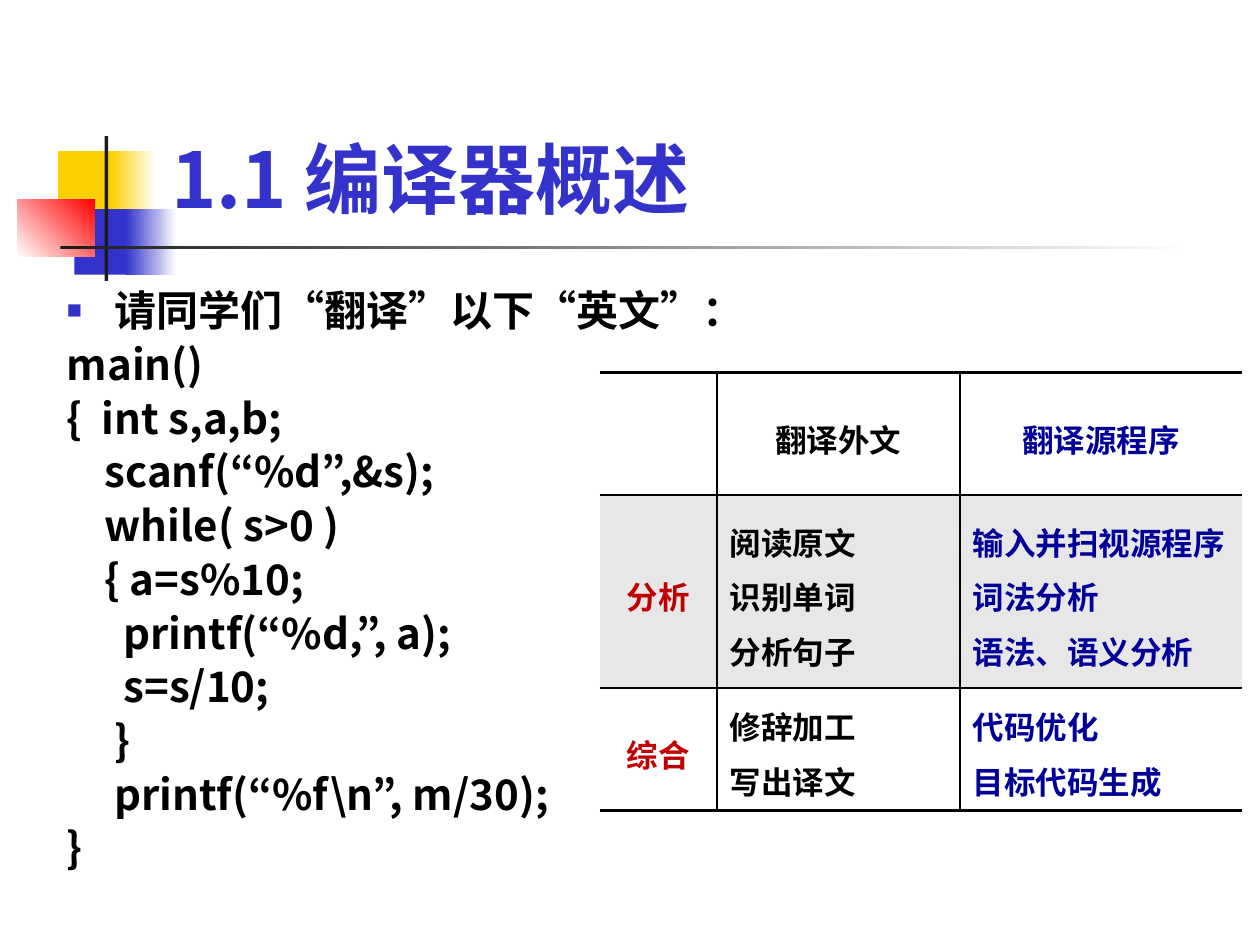
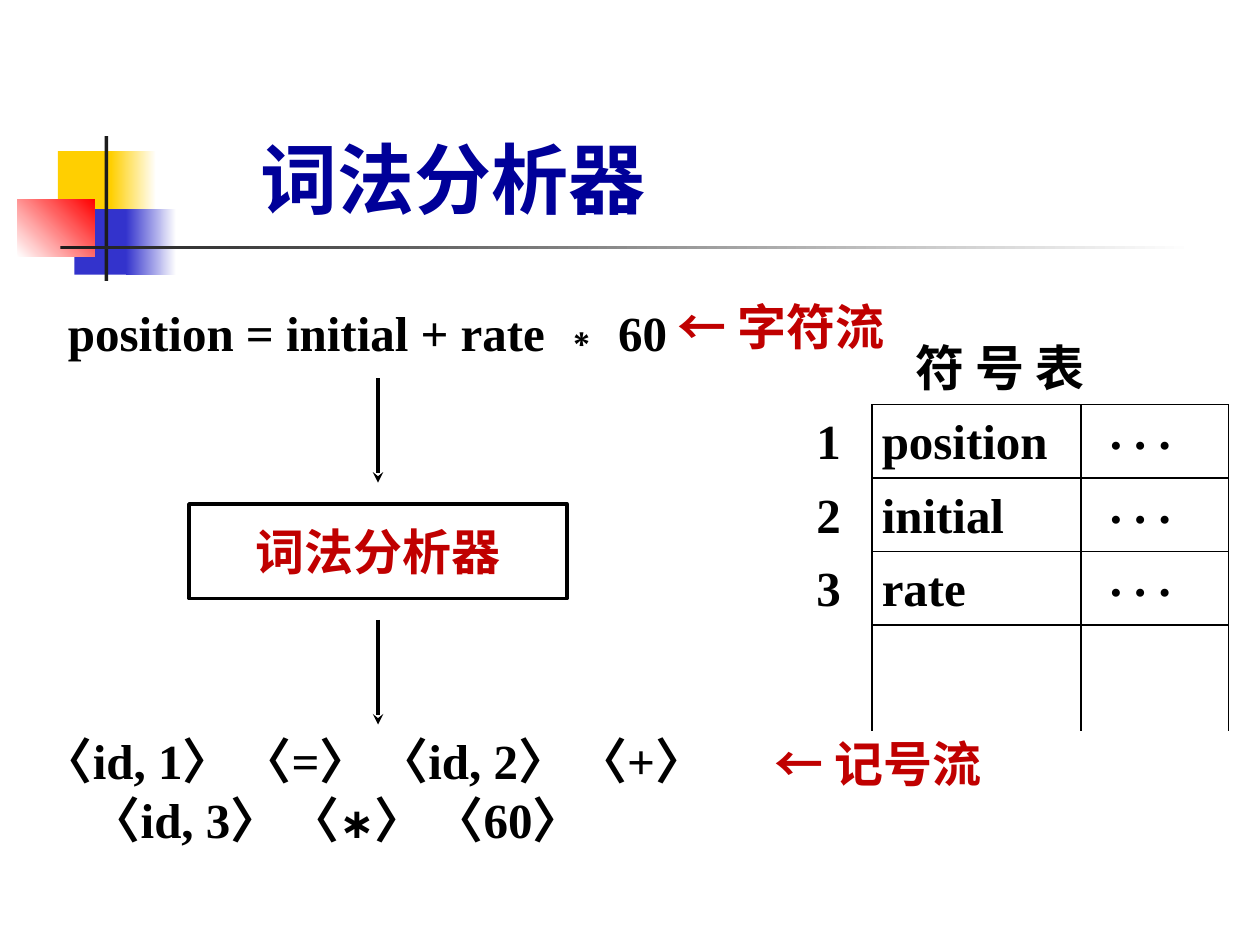
from dataclasses import dataclass

from lxml.etree import SubElement
from pptx import Presentation
from pptx.dml.color import RGBColor
from pptx.enum.shapes import MSO_CONNECTOR, MSO_SHAPE
from pptx.enum.text import MSO_ANCHOR, MSO_AUTO_SIZE, PP_ALIGN
from pptx.oxml import parse_xml
from pptx.oxml.ns import nsdecls, qn
from pptx.util import Inches, Pt


@dataclass(frozen=True)
class Theme:
    black: str = "000000"
    white: str = "FFFFFF"
    dark: str = "1C1C1C"
    yellow: str = "FFCF01"
    blue: str = "3333CC"
    navy: str = "000099"
    red: str = "FF0000"
    crimson: str = "C00000"
    gray: str = "E7E7E7"
    sans: str = "Noto Sans CJK JP"
    hans: str = "Noto Sans CJK SC"
    serif: str = "Times New Roman"
    mono: str = "Courier New"
    grid: str = "Roboto"
    title: int = 44
    lead: int = 28
    code: int = 24
    cell: int = 18


T = Theme()
SPACE = 0.075  # width of one space in the code listing
CODE = [
    (0, "main()"),
    (0, "{  int s,a,b;"),
    (4, "scanf(“%d”,&s);"),
    (4, "while( s>0 )"),
    (4, "{ a=s%10;"),
    (6, "printf(“%d,”, a);"),
    (6, "s=s/10;"),
    (5, "}"),
    (5, "printf(“%f\\n”, m/30);"),
    (0, "}"),
]
STAGES = [
    ["", "翻译外文", "翻译源程序"],
    ["分析", "阅读原文\n识别单词\n分析句子", "输入并扫视源程序\n词法分析\n语法、语义分析"],
    ["综合", "修辞加工\n写出译文", "代码优化\n目标代码生成"],
]


def rgb(color):
    return RGBColor.from_string(color)


def box(*sizes):
    return [Inches(size) for size in sizes]


def style(para, size, color, face, asian=T.sans):
    font = para.font
    font.size, font.bold, font.name = Pt(size), True, face
    font.color.rgb = rgb(color)
    SubElement(para._p.pPr.find(qn("a:defRPr")), qn("a:ea"), typeface=asian)


def indent(para, left, hang=0):
    props = para._p.get_or_add_pPr()
    props.set("marL", str(Inches(left)))
    props.set("indent", str(Inches(-hang)))


def bullet(para, *marks):
    """Write bullet elements where the schema wants them, before defRPr."""
    base = para._p.pPr.find(qn("a:defRPr"))
    for mark in marks:
        base.addprevious(parse_xml(mark.replace("/>", f" {nsdecls('a')}/>", 1)
                                   if mark.endswith("/>") else
                                   mark.replace(">", f" {nsdecls('a')}>", 1)))


def place(shape, area):
    shape.left, shape.top, shape.width, shape.height = box(*area)


def title(slide, text, area, color):
    shape = slide.shapes.title
    place(shape, area)
    frame = shape.text_frame
    frame.text = text
    frame.vertical_anchor = MSO_ANCHOR.BOTTOM
    frame.auto_size = MSO_AUTO_SIZE.NONE
    para = frame.paragraphs[0]
    para.alignment = PP_ALIGN.LEFT
    style(para, T.title, color, T.sans)


def listing(slide, lead, code, area):
    """Fill the body with one bulleted line and the program below it."""
    shape = slide.placeholders[1]
    place(shape, area)
    frame = shape.text_frame
    frame.auto_size = MSO_AUTO_SIZE.NONE
    frame.text = "\n".join([lead] + [line for _, line in code])
    head, *rest = frame.paragraphs
    for para in frame.paragraphs:
        size = T.lead if para is head else T.code
        para.line_spacing = Pt(size * 1.08)
        para.space_before = Pt(size * 0.2)
        style(para, size, T.black, T.sans)
    indent(head, 0.38, 0.38)
    bullet(head, f'<a:buClr><a:srgbClr val="{T.blue}"/></a:buClr>',
           '<a:buSzPct val="60000"/>', '<a:buChar char="■"/>')
    for para, (spaces, _) in zip(rest, code):
        indent(para, spaces * SPACE)
        bullet(para, "<a:buNone/>")


def label(slide, text, area, color=T.black, face=T.serif,
          asian=T.sans, anchor=MSO_ANCHOR.TOP):
    frame = slide.shapes.add_textbox(*box(*area)).text_frame
    frame.word_wrap = True
    frame.vertical_anchor = anchor
    para = frame.paragraphs[0]
    para.text = text
    style(para, T.lead, color, face, asian)
    return para


def line(slide, start, end, width=1, arrow=False):
    link = slide.shapes.add_connector(MSO_CONNECTOR.STRAIGHT, *box(*start, *end))
    link.line.color.rgb = rgb(T.black)
    link.line.width = Pt(width)
    SubElement(link._element.spPr, qn("a:effectLst"))
    if arrow:
        SubElement(link.line._get_or_add_ln(), qn("a:tailEnd"), type="stealth")


def rect(slide, area):
    shape = slide.shapes.add_shape(MSO_SHAPE.RECTANGLE, *box(*area))
    shape.shadow.inherit = False
    return shape


def block(slide, area, start, end=None, angle=0):
    """Draw a borderless rectangle, plain or fading from start to end."""
    shape = rect(slide, area)
    shape.line.fill.background()
    if end is None:
        shape.fill.solid()
        shape.fill.fore_color.rgb = rgb(start)
    else:
        shape.fill.gradient()
        shape.fill.gradient_angle = angle
        for stop, color in zip(shape.fill.gradient_stops, (start, end)):
            stop.color.rgb = rgb(color)
    return shape


def brand(deck, slide):
    """Draw the corner blocks and rules, then move them to the master."""
    parts = [
        ((0.46, 1.2, 0.48, 0.52), T.yellow),
        ((0.88, 1.2, 0.36, 0.52), T.yellow, T.white),
        ((0.59, 1.66, 0.46, 0.52), T.blue),
        ((1, 1.66, 0.4, 0.52), T.blue, T.white),
        ((0.14, 1.58, 0.61, 0.46), T.white, T.red, 45),
        ((0.83, 1.08, 0.03, 1.15), T.dark),
        ((0.48, 1.95, 9, 0.03), T.dark, T.white),
    ]
    tree = deck.slide_master.shapes._spTree
    for part in parts:
        tree.append(block(slide, *part)._element)


def border(cell, widths):
    """Set the left, right, top and bottom edges; width 0 hides an edge."""
    props = cell._tc.get_or_add_tcPr()
    for spot, (side, width) in enumerate(zip("LRTB", widths)):
        fill = (f'<a:solidFill><a:srgbClr val="{T.black}"/></a:solidFill>'
                if width else "<a:noFill/>")
        props.insert(spot, parse_xml(
            f'<a:ln{side} {nsdecls("a")} w="{Pt(width)}">{fill}</a:ln{side}>'))


def table(slide, rows, area, widths, heights):
    grid = slide.shapes.add_table(len(rows), len(widths), *box(*area)).table
    grid.first_row = grid.horz_banding = False
    for col, width in zip(grid.columns, widths):
        col.width = Inches(width)
    for row, height in zip(grid.rows, heights):
        row.height = Inches(height)
    inks = (T.crimson, T.black, T.navy)
    for r, texts in enumerate(rows):
        for c, text in enumerate(texts):
            cell = grid.cell(r, c)
            cell.text = text
            cell.vertical_anchor = MSO_ANCHOR.MIDDLE
            cell.fill.solid()
            cell.fill.fore_color.rgb = rgb(T.gray if r == 1 else T.white)
            border(cell, (int(c > 0), int(c < len(texts) - 1),
                          1 if r else 2, 1 if r < len(rows) - 1 else 2))
            for para in cell.text_frame.paragraphs:
                para.line_spacing = 1.2
                if r == 0 or c == 0:
                    para.alignment = PP_ALIGN.CENTER
                style(para, T.cell, inks[c], T.grid, T.hans)


def symbols(slide, names):
    """Draw the symbol table, open at the bottom, with numbered rows."""
    left, mid, right, top, foot, step = 6.92, 8.58, 9.75, 3.21, 5.8, 7 / 12
    label(slide, "符 号 表", (7.17, 2.63, 2.17, 0.67), face=T.hans, asian=T.hans)
    for x in (left, mid, right):
        line(slide, (x, top), (x, foot))
    for n in range(len(names) + 1):
        y = top + n * step
        line(slide, (left, y), (right, y))
    for n, name in enumerate(names):
        y = top + n * step
        label(slide, str(n + 1), (6.38, y, 0.75, 0.5))
        label(slide, name, (6.9, y, 1.67, 0.5))
        label(slide, ". . .", (8.71, y - 0.08, 1.33, 0.5))


def stage(slide, text, area):
    shape = rect(slide, area)
    shape.fill.background()
    shape.line.color.rgb = rgb(T.black)
    shape.line.width = Pt(2)
    frame = shape.text_frame
    frame.text = text
    frame.vertical_anchor = MSO_ANCHOR.MIDDLE
    para = frame.paragraphs[0]
    para.alignment = PP_ALIGN.CENTER
    style(para, T.lead, T.crimson, T.sans)


def tokens(slide):
    para = label(slide, "〈id, 1〉 〈=〉 〈id, 2〉 〈+〉 〈id, 3〉 〈",
                 (0.25, 5.75, 5.75, 0.75))
    indent(para, 0.38, 0.38)
    para.line_spacing = Pt(33.6)
    star = para.add_run()
    star.text = "∗"
    star.font.name, star.font.size = T.mono, Pt(T.code)
    para.add_run().text = "〉 〈60〉"


def main():
    deck = Presentation()
    deck.slide_width, deck.slide_height = box(10, 7.5)

    intro = deck.slides.add_slide(deck.slide_layouts[1])
    brand(deck, intro)
    title(intro, "1.1 编译器概述", (1.26, 0.23, 8.52, 1.6), T.blue)
    listing(intro, "请同学们“翻译”以下“英文”：", CODE, (0.43, 2.25, 6.22, 4.5))
    table(intro, STAGES, (4.76, 2.96, 5.1, 3.47),
          (0.93, 1.93, 2.24), (0.97, 1.53, 0.97))

    lexer = deck.slides.add_slide(deck.slide_layouts[5])
    title(lexer, "词法分析器", (1.97, 1.15, 3.74, 0.68), T.navy)
    symbols(lexer, ["position", "initial", "rate"])
    stage(lexer, "词法分析器", (1.5, 4, 3, 0.75))
    for y in (3, 4.92):
        line(lexer, (3, y), (3, y + 0.83), 2, arrow=True)
    tokens(lexer)
    label(lexer, "position = initial + rate ∗ 60", (0.44, 2.3, 5.58, 0.67),
          anchor=MSO_ANCHOR.MIDDLE)
    for text, area in (("← 记号流", (6.05, 5.72, 2.02, 0.67)),
                       ("← 字符流", (5.28, 2.25, 1.92, 0.67))):
        label(lexer, text, area, T.crimson, T.sans, anchor=MSO_ANCHOR.MIDDLE)
    deck.save("out.pptx")


if __name__ == "__main__":
    main()
